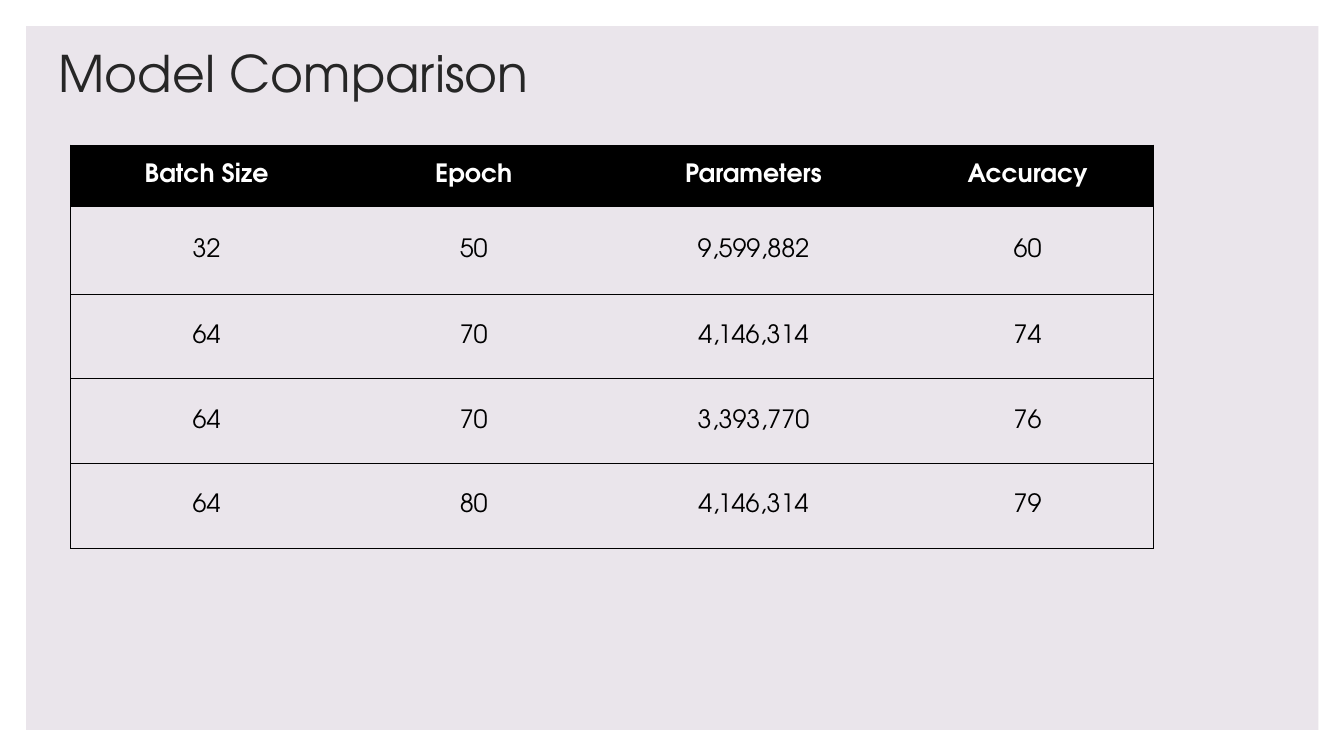
from lxml.etree import SubElement
from pptx import Presentation
from pptx.dml.color import RGBColor
from pptx.enum.shapes import MSO_SHAPE
from pptx.enum.text import MSO_ANCHOR, MSO_AUTO_SIZE, PP_ALIGN
from pptx.oxml.ns import qn
from pptx.util import Pt

BLACK = RGBColor(0x00, 0x00, 0x00)
WHITE = RGBColor(0xFF, 0xFF, 0xFF)
CHARCOAL = RGBColor(0x26, 0x26, 0x26)
LILAC = RGBColor(0xEA, 0xE5, 0xEB)

MODELS = [
    ("Batch Size", "Epoch", "Parameters", "Accuracy"),
    ("32", "50", "9,599,882", "60"),
    ("64", "70", "4,146,314", "74"),
    ("64", "70", "3,393,770", "76"),
    ("64", "80", "4,146,314", "79"),
]
COLUMN_WIDTHS = (194.4, 187.2, 212.4, 179.3)
ROW_HEIGHTS = (43.9, 62.6, 60.5, 60.5, 60.5)


class SlideBuilder:
    """Holds the style and the current slide."""

    font = "TeX Gyre Adventor"
    border_width = Pt(0.75)

    def __init__(self, slide):
        self.slide = slide

    def set_text(self, frame, text, size, color, align, bold=False):
        frame.text = text
        paragraph = frame.paragraphs[0]
        paragraph.alignment = align
        font = paragraph.runs[0].font
        font.name, font.size, font.bold = self.font, Pt(size), bold
        font.color.rgb = color

    def panel(self, left, top, width, height, color):
        panel = self.slide.shapes.add_shape(
            MSO_SHAPE.RECTANGLE, Pt(left), Pt(top), Pt(width), Pt(height))
        panel.shadow.inherit = False
        panel.fill.solid()
        panel.fill.fore_color.rgb = color
        panel.line.fill.background()
        # Send behind the title placeholder
        self.slide.shapes._spTree.insert(2, panel._element)

    def title(self, text, left, top, width, height):
        title = self.slide.shapes.title
        title.left, title.top = Pt(left), Pt(top)
        title.width, title.height = Pt(width), Pt(height)
        title.text_frame.auto_size = MSO_AUTO_SIZE.NONE
        title.text_frame.vertical_anchor = MSO_ANCHOR.MIDDLE
        self.set_text(title.text_frame, text, 36, CHARCOAL, PP_ALIGN.LEFT)

    def borders(self, cell, sides):
        properties = cell._tc.get_or_add_tcPr()
        for side in "LRTB":
            line = SubElement(properties, qn(f"a:ln{side}"), w=str(self.border_width))
            if side in sides:
                fill = SubElement(line, qn("a:solidFill"))
                SubElement(fill, qn("a:srgbClr"), val=str(BLACK))
            else:
                SubElement(line, qn("a:noFill"))

    def table(self, rows, left, top, widths, heights):
        table = self.slide.shapes.add_table(
            len(rows), len(widths), Pt(left), Pt(top),
            Pt(sum(widths)), Pt(sum(heights))).table
        table.horz_banding = False
        for column, width in zip(table.columns, widths):
            column.width = Pt(width)
        for row, height in zip(table.rows, heights):
            row.height = Pt(height)

        last = len(widths) - 1
        for r, values in enumerate(rows):
            header = r == 0
            for c, value in enumerate(values):
                cell = table.cell(r, c)
                self.set_text(cell.text_frame, value, 18, WHITE if header else BLACK,
                              PP_ALIGN.CENTER, bold=header)
                cell.vertical_anchor = MSO_ANCHOR.MIDDLE
                # Horizontal rules throughout, vertical ones only outside
                self.borders(cell, "TB" + "L" * (c == 0) + "R" * (c == last))
                if header:
                    cell.fill.solid()
                    cell.fill.fore_color.rgb = BLACK
                else:
                    cell.fill.background()


def main():
    presentation = Presentation()
    presentation.slide_width, presentation.slide_height = Pt(960), Pt(540)
    title_only = presentation.slide_layouts[5]
    builder = SlideBuilder(presentation.slides.add_slide(title_only))

    # Background panel
    builder.panel(18.7, 18.7, 923, 502.6, LILAC)

    # Heading
    builder.title("Model Comparison", 34.6, 25.9, 480.2, 51.1)

    # Results
    builder.table(MODELS, 50.4, 103.7, COLUMN_WIDTHS, ROW_HEIGHTS)

    presentation.save("out.pptx")


if __name__ == "__main__":
    main()
